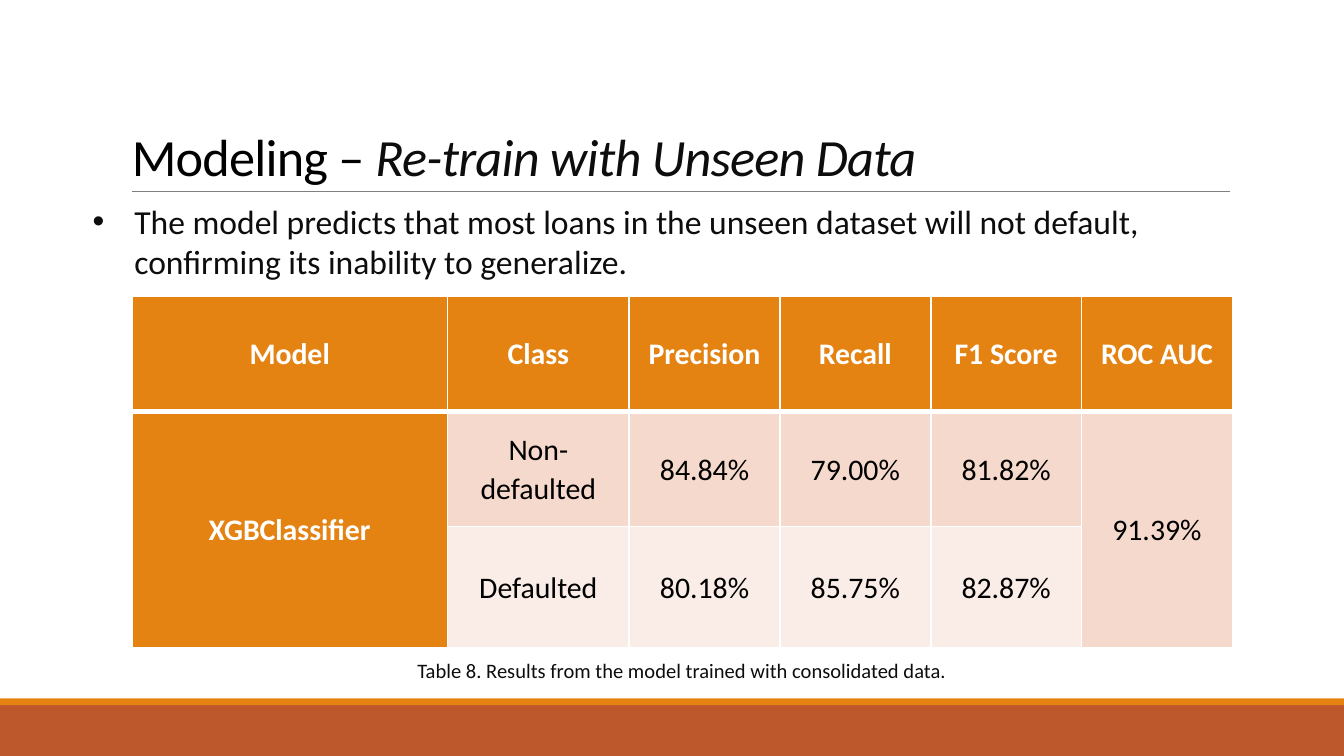
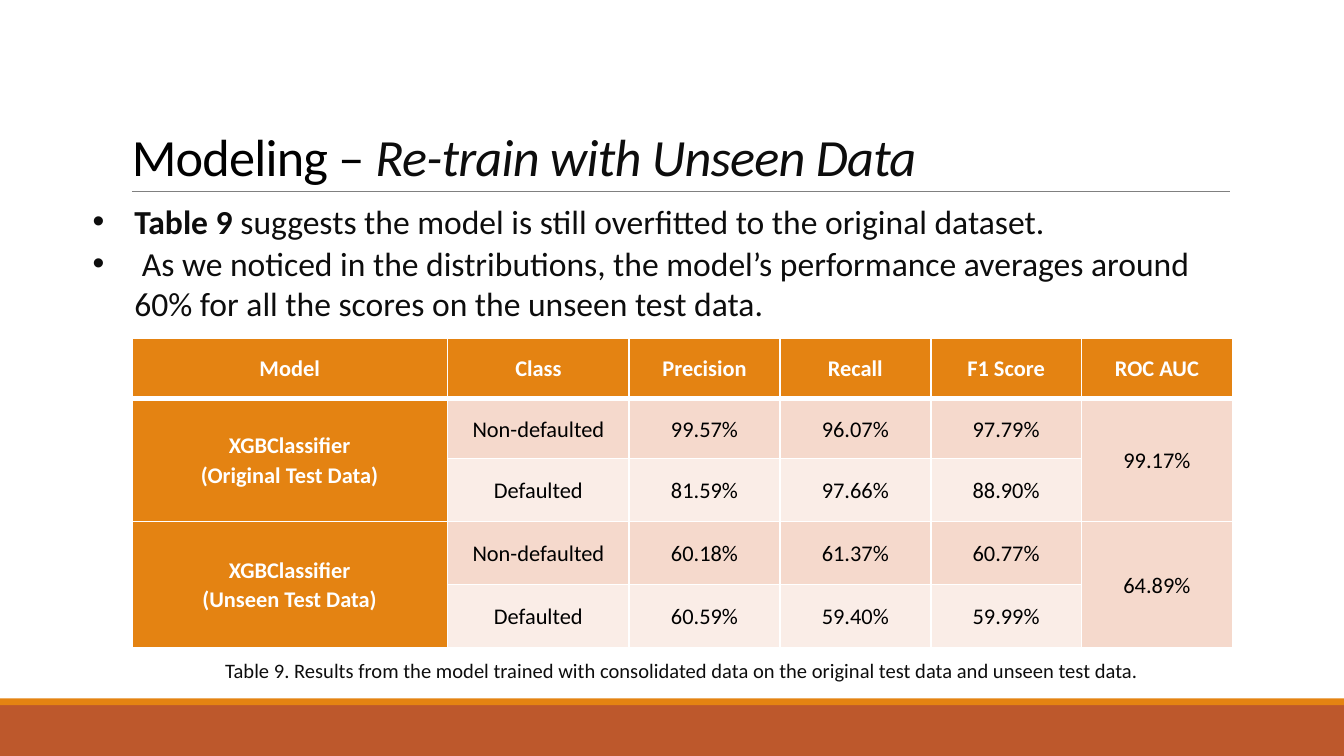
import collections
import dataclasses

import lxml.etree
import pptx
import pptx.dml.color
import pptx.enum.shapes
import pptx.enum.text
import pptx.oxml
import pptx.oxml.ns
import pptx.util

Cm = pptx.util.Cm
Pt = pptx.util.Pt
qn = pptx.oxml.ns.qn
Align = pptx.enum.text.PP_ALIGN
Anchor = pptx.enum.text.MSO_ANCHOR
Box = collections.namedtuple("Box", "left top width height")
Span = collections.namedtuple("Span", "text format")


@dataclasses.dataclass(frozen=True)
class Theme:
    font: str = "Calibri"
    accent: str = "E48312"
    band: str = "BD582C"
    rule: str = "808080"
    black: str = "000000"
    ink: str = "0D0D0D"
    white: str = "FFFFFF"
    tints: tuple = ("F5D9CC", "FAEDE7")
    title_size: float = 28
    body_size: float = 18
    caption_size: float = 11


THEME = Theme()
PAGE = Box(0, 0, 25.4, 14.29)
LEFT = 2.49
CONTENT_WIDTH = 20.8
TABLE_BOTTOM = 12.24
COLUMN_WIDTHS = (5.97, 3.43, 2.85, 2.85, 2.85, 2.85)
HEADINGS = ("Model", "Class", "Precision", "Recall", "F1 Score", "ROC AUC")


def rgb(color):
    return pptx.dml.color.RGBColor.from_string(color)


def lengths(box):
    return [Cm(value) for value in box]


def write(frame, paragraphs, size, color, bold=False, italic=False, tracking=0,
          align=Align.LEFT, before=0, line=1, bullet=False):
    for index, spans in enumerate(paragraphs):
        para = frame.paragraphs[0] if index == 0 else frame.add_paragraph()
        para.alignment = align
        para.space_before = Pt(before)
        para.line_spacing = line
        if bullet:
            add_bullet(para)
        for span in [Span(spans, {})] if isinstance(spans, str) else spans:
            run = para.add_run()
            run.text = span.text
            run.font.name = THEME.font
            run.font.size = Pt(size)
            run.font.bold = span.format.get("bold", bold)
            run.font.italic = span.format.get("italic", italic)
            run.font.color.rgb = rgb(span.format.get("color", color))
            if tracking:
                run.font._element.set("spc", str(round(tracking * 100)))


def add_bullet(para):
    properties = para._p.get_or_add_pPr()
    properties.set("marL", str(Cm(0.84)))
    properties.set("indent", str(Cm(-0.79)))
    lxml.etree.SubElement(properties, qn("a:buFont"), typeface="Arial")
    lxml.etree.SubElement(properties, qn("a:buChar"), char="•")


def prepare_frame(frame, anchor=Anchor.TOP):
    frame.word_wrap = True
    frame.auto_size = pptx.enum.text.MSO_AUTO_SIZE.SHAPE_TO_FIT_TEXT
    frame.vertical_anchor = anchor
    frame.margin_left = frame.margin_right = frame.margin_bottom = 0
    frame.margin_top = Cm(0.03)
    return frame


def add_text(page, box, paragraphs, **text_format):
    frame = prepare_frame(page.shapes.add_textbox(*lengths(box)).text_frame)
    write(frame, paragraphs, color=THEME.ink, before=1, **text_format)


def add_band(page, box, color):
    band = page.shapes.add_shape(pptx.enum.shapes.MSO_SHAPE.RECTANGLE, *lengths(box))
    band.shadow.inherit = False
    band.fill.solid()
    band.fill.fore_color.rgb = rgb(color)
    band.line.fill.background()


def add_footer(page, box):
    stripe = 0.13
    add_band(page, Box(box.left, box.top + stripe, box.width, box.height - stripe), THEME.band)
    add_band(page, Box(box.left, box.top, box.width, stripe), THEME.accent)


def add_heading(page, box, topic, subtitle):
    rule_top = Cm(box.top + box.height + 0.09)
    rule = page.shapes.add_connector(
        pptx.enum.shapes.MSO_CONNECTOR.STRAIGHT,
        Cm(box.left), rule_top, Cm(box.left + 20.75), rule_top)
    rule.line.color.rgb = rgb(THEME.rule)
    rule.line.width = Pt(0.5)
    lxml.etree.SubElement(rule._element.spPr, qn("a:effectLst"))

    title = page.shapes.title
    title.left, title.top, title.width, title.height = lengths(box)
    spans = [Span(topic, {"color": THEME.black}), Span(subtitle, {"italic": True})]
    write(prepare_frame(title.text_frame, Anchor.BOTTOM), [spans],
          size=THEME.title_size, color=THEME.ink, tracking=-0.4, before=1)


def set_borders(cell, top, bottom):
    properties = cell._tc.get_or_add_tcPr()
    sides = (("lnL", 1), ("lnR", 1), ("lnT", top), ("lnB", bottom))
    for index, (side, width) in enumerate(sides):
        border = lxml.etree.Element(qn("a:" + side), w=str(Pt(width)))
        fill = lxml.etree.SubElement(border, qn("a:solidFill"))
        lxml.etree.SubElement(fill, qn("a:srgbClr"), val=THEME.white)
        properties.insert(index, border)


def fill_cell(cell, text, size, row, is_header):
    cell.fill.solid()
    cell.fill.fore_color.rgb = rgb(THEME.accent if is_header else THEME.tints[(row - 1) % 2])
    set_borders(cell, top=3 if row == 1 else 1, bottom=3 if row == 0 else 1)
    cell.vertical_anchor = Anchor.MIDDLE
    cell.margin_left = cell.margin_right = Cm(0.18)
    cell.margin_top = cell.margin_bottom = 0
    if text:
        write(cell.text_frame, text.split("\n"), size=size, bold=is_header,
              color=THEME.white if is_header else THEME.black,
              align=Align.CENTER, line=1.07)


def add_results(page, box, models, row_heights, size):
    rows = [HEADINGS]
    for model, area, classes in models:
        for index, scores in enumerate(classes):
            first = index == 0
            rows.append((model if first else "", *scores, area if first else ""))

    frame = page.shapes.add_table(len(rows), len(HEADINGS), *lengths(box))
    table = frame.table
    table.horz_banding = False
    for column, width in zip(table.columns, COLUMN_WIDTHS):
        column.width = Cm(width)
    for row, height in zip(table.rows, row_heights):
        row.height = Cm(height)
    for row, values in enumerate(rows):
        for column, value in enumerate(values):
            fill_cell(table.cell(row, column), value, size, row, row == 0 or column == 0)

    top = 1
    for _, _, classes in models:
        for column in (0, len(HEADINGS) - 1):
            table.cell(top, column).merge(table.cell(top + len(classes) - 1, column))
        top += len(classes)


def add_results_page(deck, bullets, models, row_heights, table_size, caption):
    page = deck.slides.add_slide(deck.slide_layouts[5])
    add_footer(page, Box(0, 13.2, PAGE.width, PAGE.height - 13.2))
    add_heading(page, Box(LEFT, 2.29, 16.36, 1.24), "Modeling – ", "Re-train with Unseen Data")
    table_height = sum(row_heights)
    table_top = TABLE_BOTTOM - table_height
    add_text(page, Box(1.7, 3.76, 21.59, table_top - 4), bullets,
             size=THEME.body_size, bullet=True)
    add_text(page, Box(LEFT, 12.4, CONTENT_WIDTH, 0.51), [caption],
             size=THEME.caption_size, align=Align.CENTER)
    add_results(page, Box(LEFT, table_top, CONTENT_WIDTH, table_height),
                models, row_heights, table_size)


def main():
    deck = pptx.Presentation()
    deck.slide_width = Cm(PAGE.width)
    deck.slide_height = Cm(PAGE.height)
    add_results_page(
        deck,
        bullets=["The model predicts that most loans in the unseen dataset will not default, "
                 "confirming its inability to generalize."],
        models=[("XGBClassifier", "91.39%",
                 [("Non-defaulted", "84.84%", "79.00%", "81.82%"),
                  ("Defaulted", "80.18%", "85.75%", "82.87%")])],
        row_heights=(2.18, 2.18, 2.29),
        table_size=16,
        caption="Table 8. Results from the model trained with consolidated data.")
    add_results_page(
        deck,
        bullets=[[Span("Table 9", {"bold": True}),
                  Span(" suggests the model is still overfitted to the original dataset.", {})],
                 " As we noticed in the distributions, the model’s performance averages "
                 "around 60% for all the scores on the unseen test data."],
        models=[("XGBClassifier\n(Original Test Data)", "99.17%",
                 [("Non-defaulted", "99.57%", "96.07%", "97.79%"),
                  ("Defaulted", "81.59%", "97.66%", "88.90%")]),
                ("XGBClassifier\n(Unseen Test Data)", "64.89%",
                 [("Non-defaulted", "60.18%", "61.37%", "60.77%"),
                  ("Defaulted", "60.59%", "59.40%", "59.99%")])],
        row_heights=(1.14, 1.14, 1.19, 1.19, 1.19),
        table_size=12,
        caption="Table 9. Results from the model trained with consolidated data "
                "on the original test data and unseen test data.")
    deck.save("out.pptx")


if __name__ == "__main__":
    main()
